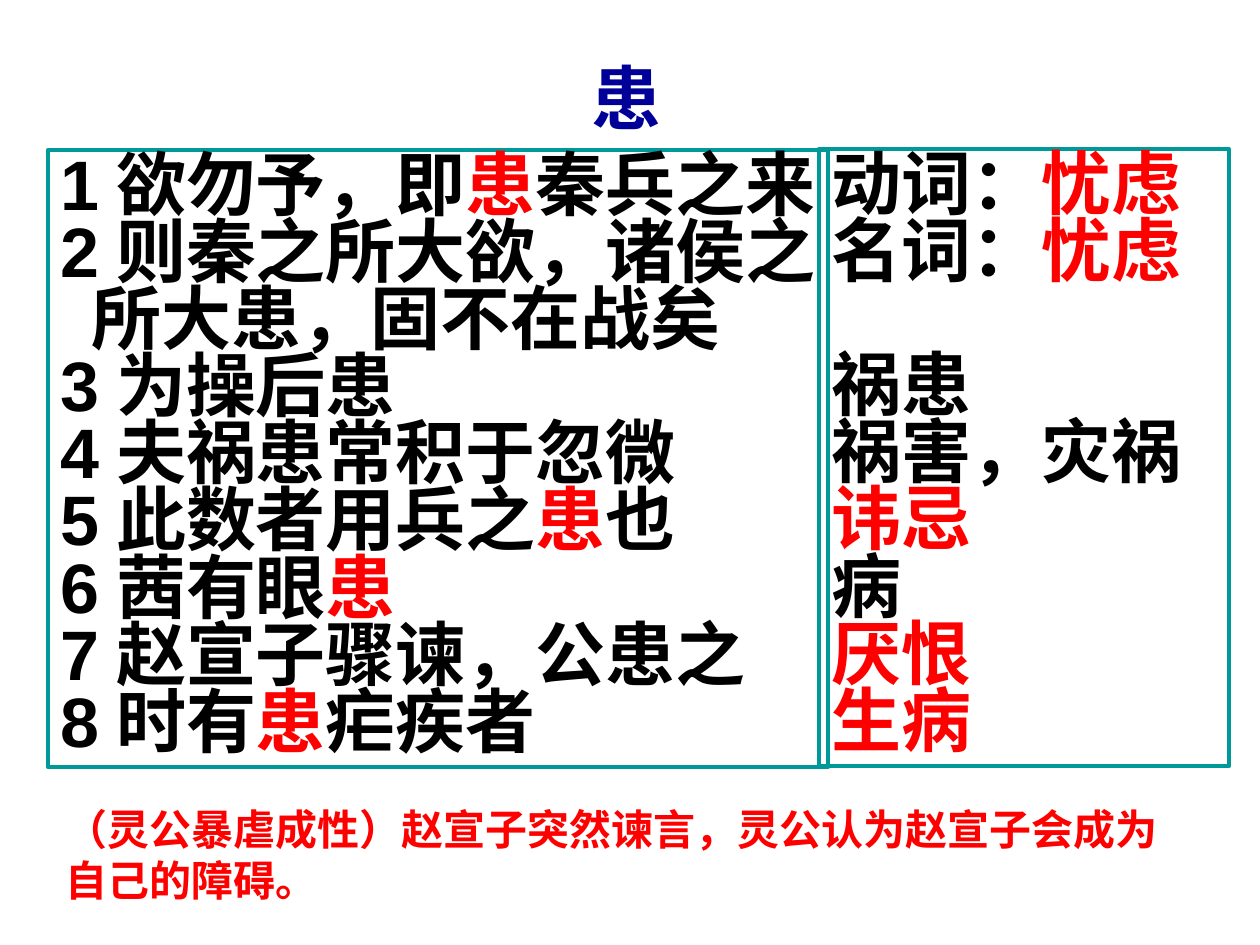
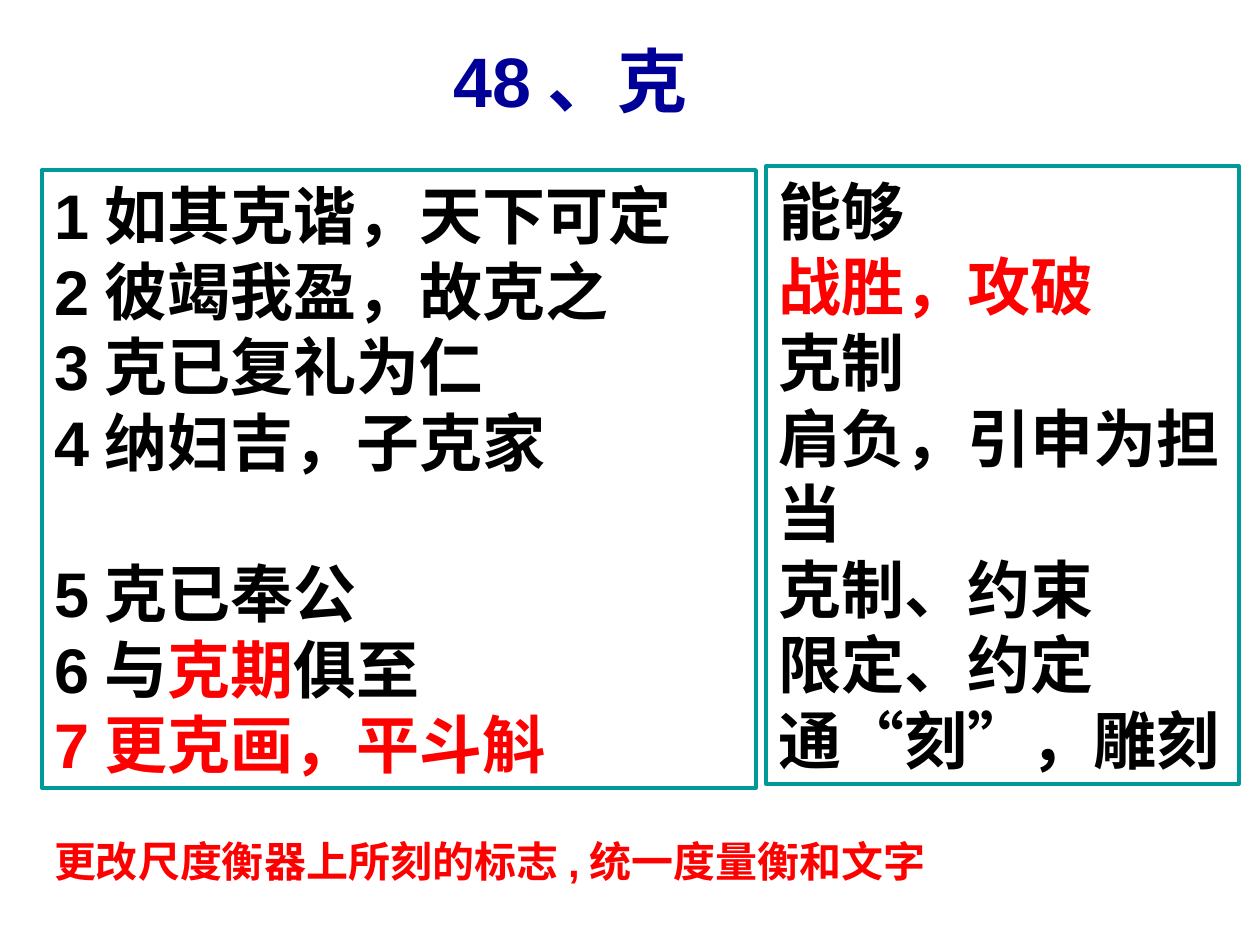
from dataclasses import dataclass

from pptx import Presentation
from pptx.dml.color import RGBColor as Rgb
from pptx.enum.shapes import MSO_SHAPE as Shape
from pptx.enum.text import MSO_ANCHOR as Anchor, MSO_AUTO_SIZE as Fit, PP_ALIGN as Align
from pptx.util import Cm, Pt


# Shared style
@dataclass(frozen=True)
class Theme:
    font: str = "Arial"
    ink: str = "000000"
    mark: str = "FF0000"
    head: str = "000099"
    edge: str = "009999"
    title: int = 40
    note: int = 24
    rule: float = 2.25


# One line of text; *stars* switch to the mark colour
@dataclass
class Line:
    text: str
    gap: float = 0  # points before
    dent: float = 0  # left margin in cm


class Deck:
    def __init__(self, theme):
        self.theme = theme
        self.prs = Presentation()
        self.prs.slide_width, self.prs.slide_height = Cm(25.4), Cm(19.05)
        self.slide = None

    def page(self):
        self.slide = self.prs.slides.add_slide(self.prs.slide_layouts[6])

    def fill(self, shape, lines, size, color, pitch=None):
        frame = shape.text_frame
        for i, line in enumerate(lines):
            if isinstance(line, str):
                line = Line(line)
            para = frame.paragraphs[0] if i == 0 else frame.add_paragraph()
            para.alignment = Align.LEFT
            if pitch:
                para.line_spacing = pitch
            if line.gap:
                para.space_before = Pt(line.gap)
            if line.dent:
                para._p.get_or_add_pPr().set("marL", str(Cm(line.dent)))
            for j, part in enumerate(line.text.split("*")):
                if part:
                    run = para.add_run()
                    run.text = part
                    font = run.font
                    font.name, font.size, font.bold = self.theme.font, Pt(size), True
                    font.color.rgb = Rgb.from_string(self.theme.mark if j % 2 else color)

    def text(self, box, words, size, color):
        shape = self.slide.shapes.add_textbox(*map(Cm, box))
        shape.text_frame.word_wrap = True
        self.fill(shape, [words], size, color)

    def title(self, left, top, width, words):
        self.text((left, top, width, 1.96), words, self.theme.title, self.theme.head)

    def note(self, left, top, width, height, words):
        self.text((left, top, width, height), words, self.theme.note, self.theme.mark)

    def panel(self, left, top, width, lines, size, pitch=None, wrap=True, anchor=Anchor.MIDDLE):
        box = map(Cm, (left, top, width, 12.45))
        shape = self.slide.shapes.add_shape(Shape.RECTANGLE, *box)
        shape.shadow.inherit = False
        shape.fill.background()
        shape.line.color.rgb = Rgb.from_string(self.theme.edge)
        shape.line.width = Pt(self.theme.rule)
        frame = shape.text_frame
        frame.word_wrap, frame.vertical_anchor = wrap, anchor
        frame.auto_size = Fit.SHAPE_TO_FIT_TEXT
        self.fill(shape, lines, size, self.theme.ink, pitch)


def main():
    deck = Deck(Theme())

    # Slide 1: 患
    deck.page()
    deck.panel(0.97, 3.02, 15.72, [
        "1欲勿予，即*患*秦兵之来",
        "2则秦之所大欲，诸侯之",
        Line("所大患，固不在战矣", dent=0.62),
        "3为操后患",
        "4夫祸患常积于忽微",
        "5此数者用兵之*患*也",
        "6茜有眼*患*",
        "7赵宣子骤谏，公患之",
        "8时有*患*疟疾者",
    ], 40, pitch=0.8, wrap=False)
    deck.panel(16.51, 3, 8.26, [
        "动词：*忧虑*",
        "名词：*忧虑*",
        Line("祸患", gap=38.4),
        "祸害，灾祸",
        "*讳忌*",
        "病",
        "*厌恨*",
        "*生病*",
    ], 40, pitch=0.8)
    deck.title(11.68, 0.97, 2.21, "患")
    deck.note(1.07, 16.08, 23.06, 2.29,
              "（灵公暴虐成性）赵宣子突然谏言，灵公认为赵宣子会成为自己的障碍。")

    # Slide 2: 克
    deck.page()
    deck.panel(0.84, 3.43, 14.4, [
        "1如其克谐，天下可定",
        "2彼竭我盈，故克之",
        "3克已复礼为仁",
        "4纳妇吉，子克家",
        Line("5克已奉公", gap=43.1),
        "6与*克期*俱至",
        "*7更克画，平斗斛*",
    ], 36)
    deck.panel(15.44, 3.35, 9.53, [
        "能够",
        "*战胜，攻破*",
        "克制",
        "肩负，引申为担当",
        "克制、约束",
        "限定、约定",
        "通“刻”，雕刻",
    ], 36, anchor=Anchor.TOP)
    deck.title(8.89, 0.64, 5.51, "48、克")
    deck.note(0.84, 16.71, 22.86, 1.27, "更改尺度衡器上所刻的标志,统一度量衡和文字")

    deck.prs.save("out.pptx")


if __name__ == "__main__":
    main()
